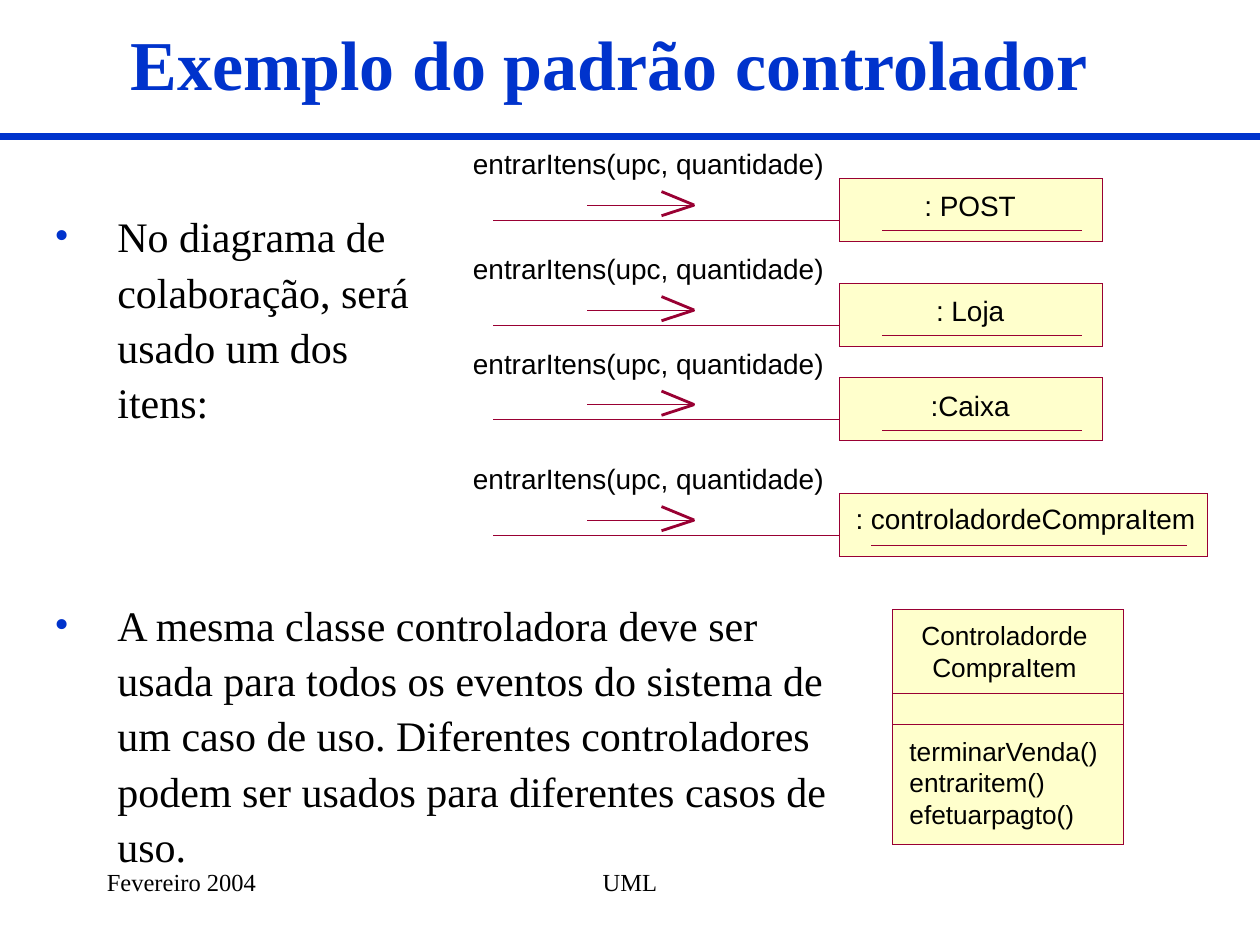
"""Builds the UML slide on the controller pattern, with its collaboration and class diagrams."""
from lxml.etree import SubElement
from pptx import Presentation
from pptx.dml.color import RGBColor
from pptx.enum.shapes import MSO_CONNECTOR, MSO_SHAPE
from pptx.enum.text import MSO_ANCHOR, MSO_AUTO_SIZE, PP_ALIGN
from pptx.oxml.ns import qn
from pptx.util import Pt

COLORS = {"blue": "0033CC", "maroon": "990033", "cream": "FFFFCC", "black": "000000"}
SERIF, SANS = "Times New Roman", "Arial"
TITLE = {"name": SERIF, "size": Pt(40), "bold": True}
BODY = {"name": SERIF, "size": Pt(24)}
FOOTER = {"name": SERIF, "size": Pt(14)}
LABEL = {"name": SANS, "size": Pt(16)}
MEMBER = {"name": SANS, "size": Pt(15)}
FRAME = {"auto_size": MSO_AUTO_SIZE.NONE, "word_wrap": True,
         "margin_left": Pt(7.2), "margin_right": Pt(7.2),
         "margin_top": Pt(3.6), "margin_bottom": Pt(3.6)}
TIGHT = {"auto_size": MSO_AUTO_SIZE.NONE, "word_wrap": True,
         "margin_left": 0, "margin_right": 0, "margin_top": 0, "margin_bottom": 0}
SHORT = {"width": 150, "inset": 24, "name_left": 479.4, "name_drop": 24}
LONG = {"width": 210, "inset": 18, "name_left": 481, "name_drop": 22.5}
MESSAGES = [(84, ": POST", SHORT), (144, ": Loja", SHORT),
            (198, ":Caixa", SHORT), (264, ": controladordeCompraItem", LONG)]


def rgb(color):
    """Return the named colour."""
    return RGBColor.from_string(COLORS[color])


def set_all(target, values):
    """Set every attribute in values on target."""
    for name, value in values.items():
        setattr(target, name, value)


def fill_text(tf, lines, font, frame, color="black", align=PP_ALIGN.LEFT):
    """Write one paragraph per line into a text frame."""
    set_all(tf, frame)
    for i, line in enumerate(lines):
        p = tf.add_paragraph() if i else tf.paragraphs[0]
        p.alignment = align
        r = p.add_run()
        r.text = line
        set_all(r.font, font)
        r.font.color.rgb = rgb(color)


def add_text(s, box, lines, font, frame=FRAME, align=PP_ALIGN.LEFT):
    """Add a text box and return its text frame."""
    tf = s.shapes.add_textbox(*map(Pt, box)).text_frame
    fill_text(tf, lines, font, frame, align=align)
    return tf


def add_bullet(s, box, text):
    """Add a body text box with one blue bullet."""
    p = add_text(s, box, [text], BODY).paragraphs[0]
    pPr = p._p.get_or_add_pPr()
    pPr.set("marL", str(Pt(36)))
    pPr.set("indent", str(-Pt(36)))
    color = SubElement(pPr, qn("a:buClr"))
    SubElement(color, qn("a:srgbClr"), val=COLORS["blue"])
    SubElement(pPr, qn("a:buFont"), typeface=SERIF)
    SubElement(pPr, qn("a:buChar"), char="•")
    p.line_spacing = 1.1


def set_line(sp, color, width):
    """Colour a line and write its width, even when that is zero."""
    sp.line.color.rgb = rgb(color)
    sp._element.spPr.find(qn("a:ln")).set("w", str(Pt(width)))


def add_line(s, x1, y1, x2, y2, color="maroon", width=0):
    """Add a straight line without shadow."""
    sp = s.shapes.add_connector(MSO_CONNECTOR.STRAIGHT, *map(Pt, (x1, y1, x2, y2)))
    set_line(sp, color, width)
    SubElement(sp._element.spPr, qn("a:effectLst"))


def add_box(s, *box):
    """Add a cream rectangle with a thin maroon outline."""
    sp = s.shapes.add_shape(MSO_SHAPE.RECTANGLE, *map(Pt, box))
    sp.shadow.inherit = False
    sp.fill.solid()
    sp.fill.fore_color.rgb = rgb("cream")
    set_line(sp, "maroon", 0)


def add_message(s, top, name, size):
    """Add a message arrow leading to an underlined object box."""
    tip, width = top + 33.2, size["width"]
    add_line(s, 335.5, tip, 396.7, tip)
    for wing in (6.1, -7.7):
        add_line(s, 396.7, tip, 378, tip + wing, width=1.62)
    add_text(s, (260.5, top, 220, 19.4), ["entrarItens(upc, quantidade)"], LABEL,
             TIGHT, PP_ALIGN.CENTER)
    add_line(s, 282, top + 42, 480, top + 42)
    add_box(s, 480, top + 18, width, 36)
    add_text(s, (size["name_left"], top + size["name_drop"], width, 19.4), [name],
             LABEL, TIGHT, PP_ALIGN.CENTER)
    add_line(s, 480 + size["inset"], top + 48, 468 + width, top + 48)


def add_class(s):
    """Add the class box with name, empty attributes and operations."""
    add_box(s, 510, 348, 132, 134.5)
    add_text(s, (514, 354, 120, 36), ["Controladorde", "CompraItem"], MEMBER,
             TIGHT, PP_ALIGN.CENTER)
    add_text(s, (519.7, 420, 122.3, 54),
             ["terminarVenda()", "entraritem()", "efetuarpagto()"], MEMBER, TIGHT)
    for y in (396, 414):
        add_line(s, 510, y, 642, y)


def main():
    """Build and save the slide."""
    prs = Presentation()
    prs.slide_width, prs.slide_height = Pt(720), Pt(540)
    s = prs.slides.add_slide(prs.slide_layouts[5])
    title = s.shapes.title
    set_all(title, {"left": 0, "top": 0, "width": Pt(696), "height": Pt(72)})
    fill_text(title.text_frame, ["Exemplo do padrão controlador"], TITLE,
              {**FRAME, "vertical_anchor": MSO_ANCHOR.MIDDLE}, "blue", PP_ALIGN.CENTER)
    add_line(s, 0, 78, 720, 78, "blue", 4)
    add_bullet(s, (24, 114, 222, 144),
               "No diagrama de colaboração, será usado um dos itens:")
    add_bullet(s, (24, 336, 462, 42),
               "A mesma classe controladora deve ser usada para todos os eventos do "
               "sistema de um caso de uso. Diferentes controladores podem ser usados "
               "para diferentes casos de uso.")
    for message in MESSAGES:
        add_message(s, *message)
    add_class(s)
    add_text(s, (246, 492, 228, 36), ["UML"], FOOTER, align=PP_ALIGN.CENTER)
    add_text(s, (54, 492, 150, 36), ["Fevereiro 2004"], FOOTER)
    prs.save("out.pptx")


if __name__ == "__main__":
    main()
